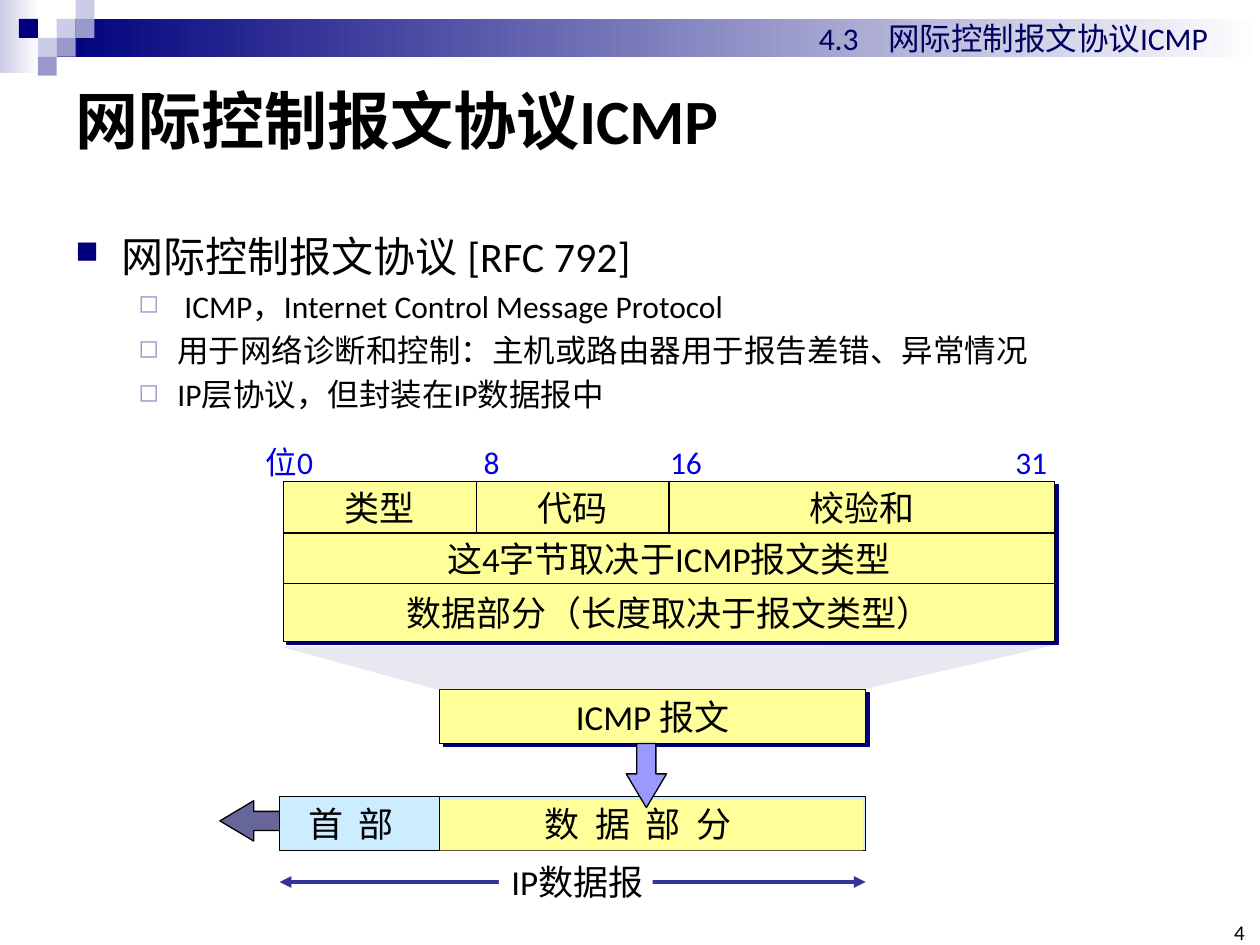
from lxml.etree import SubElement
from pptx import Presentation
from pptx.dml.color import RGBColor
from pptx.enum.dml import MSO_FILL
from pptx.enum.shapes import MSO_CONNECTOR, MSO_SHAPE
from pptx.enum.text import MSO_ANCHOR, PP_ALIGN
from pptx.oxml.ns import qn
from pptx.util import Inches, Pt

FONT = "Calibri"
COLORS = {
    "black": "000000", "white": "FFFFFF", "navy": "00007D", "header": "00005E",
    "bits": "0000E4", "pale": "CCCCE6", "mid": "9999CC", "yellow": "FFFF99",
    "sky": "CCECFF", "slate": "666699", "violet": "9999FF", "span": "333399",
    "funnel": "E8E8F1",
}
TITLE = "网际控制报文协议ICMP"
SECTION = "4.3\t网际控制报文协议ICMP"
PAGE = "4"
BULLETS = [  # level, text
    (0, "网际控制报文协议 [RFC 792]"),
    (1, " ICMP，Internet Control Message Protocol"),
    (1, "用于网络诊断和控制：主机或路由器用于报告差错、异常情况"),
    (1, "IP层协议，但封装在IP数据报中"),
]
LEVELS = [  # size, margin, indent, mark, mark colour, mark percent, line spacing
    (24, 0.37, -0.37, "■", "navy", 75, 1.5),
    (18, 0.81, -0.31, "◻", "mid", 80, 1),
]
MOSAIC = [  # column, row, colour
    (3, 1, "pale"), (4, 0, "pale"), (4, 1, "mid"), (2, 2, "pale"),
    (1, 1, "navy"), (3, 2, "mid"), (2, 3, "mid"),
]
TILE = 0.15
BIT_SCALE = "位0\t8\t16\t31"
BIT_STOPS = (1.73, 3.21, 5.95)
PACKET_ROWS = [  # height, [(label, quarters of the row)]
    (0.41, [("类型", 1), ("代码", 1), ("校验和", 2)]),
    (0.4, [("这4字节取决于ICMP报文类型", 4)]),
    (0.46, [("数据部分（长度取决于报文类型）", 4)]),
]
PACKET_LEFT, PACKET_TOP, PACKET_WIDTH = 2.25, 3.82, 6.12
IP_LEFT, IP_RIGHT, IP_TOP, CELL = 2.22, 6.87, 6.32, 0.43
DATA_LEFT, MESSAGE_TOP = 3.49, 5.47

prs = Presentation()
prs.slide_width, prs.slide_height = Inches(10), Inches(7.5)
slide = prs.slides.add_slide(prs.slide_layouts[6])


def rgb(name):
    return RGBColor.from_string(COLORS[name])


def element(parent, tag, **attributes):
    return SubElement(parent, qn(tag), {k: str(v) for k, v in attributes.items()})


def add_tabs(paragraph, stops):
    tabs = element(paragraph._p.get_or_add_pPr(), "a:tabLst")
    for stop in stops:
        element(tabs, "a:tab", pos=Inches(stop), algn="l")


def style(paragraph, size, color="black", bold=False, spacing=0):
    for run in paragraph.runs:
        run.font.size, run.font.name, run.font.bold = Pt(size), FONT, bold
        run.font.color.rgb = rgb(color)
        if spacing:
            run._r.get_or_add_rPr().set("spc", str(spacing))


def write(shape, text, size=20, color="black", align=PP_ALIGN.CENTER,
          anchor=MSO_ANCHOR.MIDDLE, wrap=False, bold=False, spacing=0, stops=()):
    frame = shape.text_frame
    frame.word_wrap, frame.vertical_anchor = wrap, anchor
    frame.text = text
    paragraph = frame.paragraphs[0]
    if stops:
        add_tabs(paragraph, stops)
    paragraph.alignment = align
    style(paragraph, size, color, bold, spacing)
    return frame


def text_box(left, top, width, height, text, **options):
    box = slide.shapes.add_textbox(*map(Inches, (left, top, width, height)))
    return write(box, text, **options)


def paint(shape, fill, outlined):
    shape.shadow.inherit = False
    if fill:
        shape.fill.solid()
        shape.fill.fore_color.rgb = rgb(fill)
    else:
        shape.fill.background()
    if outlined:
        shape.line.color.rgb, shape.line.width = rgb("black"), Pt(0.75)
    else:
        shape.line.fill.background()
    return shape


def block(left, top, width, height, fill=None, outlined=False, kind=MSO_SHAPE.RECTANGLE):
    shape = slide.shapes.add_shape(kind, *map(Inches, (left, top, width, height)))
    return paint(shape, fill, outlined)


def gradient(shape, start, end):
    shape.fill.gradient()
    shape.fill.gradient_angle = 0
    for stop, name in zip(shape.fill.gradient_stops, (start, end)):
        stop.color.rgb = rgb(name)


def drop_shadow(shape):
    effects = shape._element.spPr.find(qn("a:effectLst"))
    shadow = element(effects, "a:outerShdw", dist=Pt(2.8), dir=45 * 60000,
                     algn="tl", rotWithShape=0)
    element(shadow, "a:srgbClr", val=COLORS["navy"])


def block_arrow(left, top, fill, rotation=0):
    arrow = block(left, top, 0.32, 0.51, fill, True, MSO_SHAPE.DOWN_ARROW)
    arrow.adjustments[0], arrow.adjustments[1] = 0.472, 0.837
    arrow.rotation = rotation


def straight(x1, y1, x2, y2, color, width, arrows=False):
    line = slide.shapes.add_connector(MSO_CONNECTOR.STRAIGHT, *map(Inches, (x1, y1, x2, y2)))
    line.line.color.rgb, line.line.width = rgb(color), Pt(width)
    if arrows:
        for end in ("a:headEnd", "a:tailEnd"):
            element(line.line._get_or_add_ln(), end, type="triangle")
    element(line._element.spPr, "a:effectLst")


def header():
    gradient(block(0, 0, 0.31, 0.58), "pale", "white")
    gradient(block(3 * TILE, TILE, 10 - 3 * TILE, 0.3), "navy", "white")
    for column, row, color in MOSAIC:
        block(column * TILE, row * TILE, TILE, TILE, color)
    text_box(0.5, 0.5, 9, 0.89, TITLE, size=36, bold=True, align=PP_ALIGN.LEFT, wrap=True)
    text_box(6.4, 0.1, 3.4, 0.4, SECTION, size=18, color="header",
             align=PP_ALIGN.LEFT, wrap=True, stops=(0.55,))
    page = text_box(9.65, 7.33, 0.23, 0.17, PAGE, size=12, align=PP_ALIGN.RIGHT,
                    anchor=MSO_ANCHOR.BOTTOM, wrap=True)
    page.margin_left = page.margin_right = page.margin_top = page.margin_bottom = 0


def bullets():
    frame = slide.shapes.add_textbox(*map(Inches, (0.5, 1.58, 9, 2.07))).text_frame
    frame.word_wrap = True
    for index, (level, text) in enumerate(BULLETS):
        size, margin, indent, mark, color, percent, spacing = LEVELS[level]
        paragraph = frame.paragraphs[0] if index == 0 else frame.add_paragraph()
        paragraph.text, paragraph.level = text, level
        props = paragraph._p.get_or_add_pPr()
        props.set("marL", str(Inches(margin)))
        props.set("indent", str(Inches(indent)))
        element(element(props, "a:buClr"), "a:srgbClr", val=COLORS[color])
        element(props, "a:buSzPct", val=percent * 1000)
        element(props, "a:buChar", char=mark)
        paragraph.line_spacing = spacing
        paragraph.space_before = Pt(0.2 * size if index else 0)
        style(paragraph, size)


def ip_datagram():
    message = block(DATA_LEFT, MESSAGE_TOP, 3.38, CELL, "yellow", True)
    drop_shadow(message)
    write(message, "ICMP 报文")
    block_arrow(1.84, 6.26, "slate", 90)
    block(IP_LEFT, IP_TOP, IP_RIGHT - IP_LEFT, CELL, "sky", True)
    block(DATA_LEFT, IP_TOP + 0.03, 3.36, CELL - 0.03, "yellow")
    straight(IP_LEFT, 7, IP_RIGHT, 7, "span", 2.25, arrows=True)
    straight(DATA_LEFT, IP_TOP, DATA_LEFT, IP_TOP + CELL, "black", 0.75)
    text_box(2.33, IP_TOP, 0.91, CELL, "首 部", spacing=225)
    text_box(4.18, IP_TOP, 1.77, CELL, "数 据 部 分", spacing=225)
    write(block(3.96, 6.83, 1.22, 0.34, "white"), "IP数据报", align=PP_ALIGN.LEFT)
    block_arrow(4.97, MESSAGE_TOP + CELL, "violet")


def icmp_packet():
    right = PACKET_LEFT + PACKET_WIDTH
    outline = slide.shapes.build_freeform(Inches(IP_LEFT), Inches(5.13), 1.0)
    corners = [(3.46, MESSAGE_TOP), (6.85, MESSAGE_TOP), (right, 5.12)]
    outline.add_line_segments([(Inches(x), Inches(y)) for x, y in corners], close=True)
    paint(outline.convert_to_shape(), "funnel", False)
    total = sum(height for height, _ in PACKET_ROWS)
    drop_shadow(block(PACKET_LEFT, PACKET_TOP, PACKET_WIDTH, total, "yellow", True))
    top = PACKET_TOP
    for height, fields in PACKET_ROWS:
        left = PACKET_LEFT
        for label, quarters in fields:
            width = PACKET_WIDTH * quarters / 4
            write(block(left, top, width, height, outlined=True), label)
            left += width
        top += height
    text_box(2.01, 3.47, 6.5, 0.4, BIT_SCALE, size=18, color="bits",
             align=PP_ALIGN.LEFT, wrap=True, stops=BIT_STOPS)


header()
bullets()
ip_datagram()
icmp_packet()
prs.save("out.pptx")
